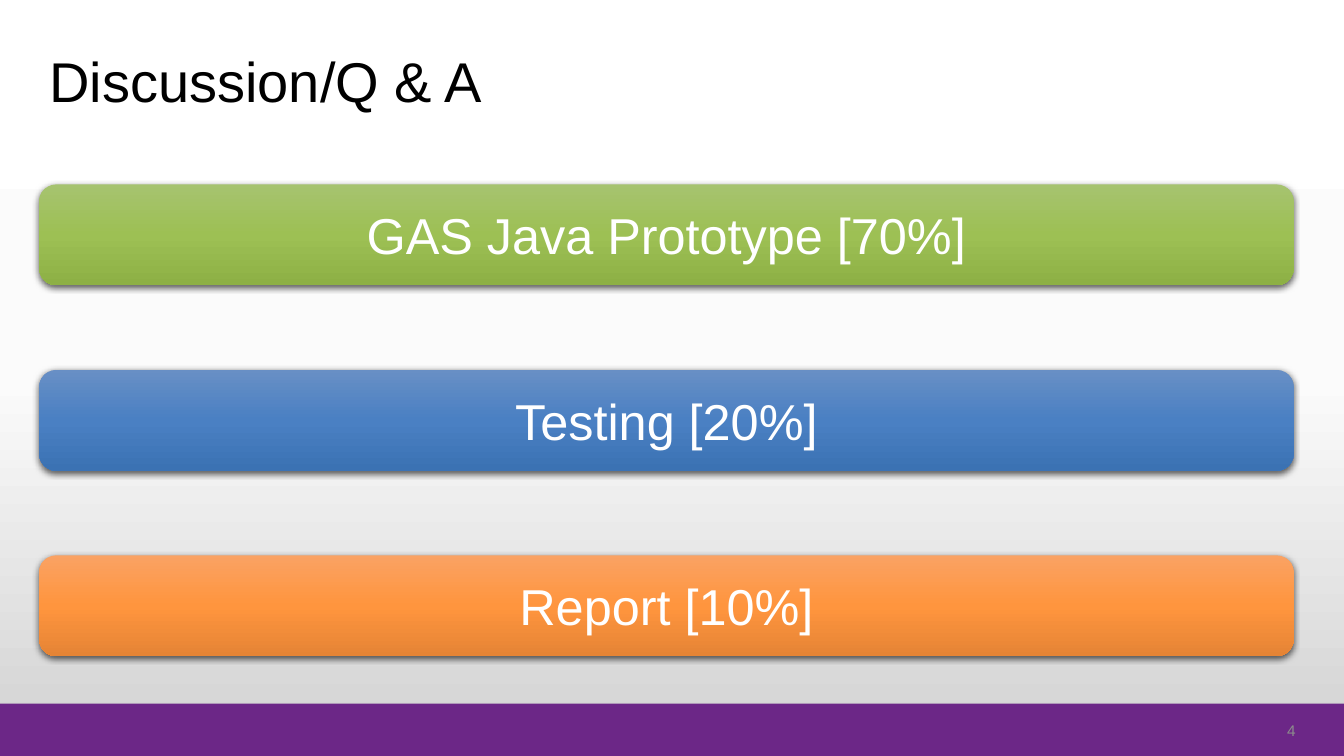
import pptx
import pptx.util
import pptx.dml.color
import pptx.enum.shapes
import pptx.enum.text
import pptx.oxml
import pptx.oxml.ns

Inches, Pt = pptx.util.Inches, pptx.util.Pt
ALIGN = pptx.enum.text.PP_ALIGN
SHAPE = pptx.enum.shapes.MSO_SHAPE

# Content
TITLE = "Discussion/Q & A"
PAGE = "4"
BACKGROUND = ("FFFFFF", "FBFBFB", "D1D1D1")
TOPICS = [
    ("GAS Java Prototype [70%]", ("A6C36F", "9DC054", "8DB045")),
    ("Testing [20%]", ("688FC5", "4A80C3", "3B72B3")),
    ("Report [10%]", ("FAA263", "FF953E", "E58435")),
]

# Layout
LEFT, BAR_TOP, BAR_W, BAR_H, BAR_STEP = 0.39, 1.83, 12.44, 1, 1.84


def rgb(code):
    return pptx.dml.color.RGBColor.from_string(code)


def set_gradient(fill, parent, colours):
    """Fill from top to bottom with evenly spaced colours."""
    fill.gradient()
    fill.gradient_angle = 270
    stops = next(parent.iter(pptx.oxml.ns.qn("a:gsLst")))
    for stop in list(stops):
        stops.remove(stop)
    for i, code in enumerate(colours):
        pos = i * 100000 // (len(colours) - 1)
        stops.append(pptx.oxml.parse_xml(
            f'<a:gs {pptx.oxml.ns.nsdecls("a")} pos="{pos}">'
            f'<a:srgbClr val="{code}"/></a:gs>'))


def add_shadow(sp):
    sp.shadow.inherit = False
    effects = sp.element.spPr.find(pptx.oxml.ns.qn("a:effectLst"))
    effects.append(pptx.oxml.parse_xml(
        f'<a:outerShdw {pptx.oxml.ns.nsdecls("a")} blurRad="{Pt(4.5)}" '
        f'dist="{Pt(1.5)}" dir="5400000" rotWithShape="0">'
        '<a:srgbClr val="000000"><a:alpha val="63000"/></a:srgbClr>'
        '</a:outerShdw>'))


def set_text(sp, text, size, colour, align):
    tf = sp.text_frame
    tf.word_wrap = True
    tf.auto_size = pptx.enum.text.MSO_AUTO_SIZE.NONE
    tf.vertical_anchor = pptx.enum.text.MSO_ANCHOR.MIDDLE
    p = tf.paragraphs[0]
    p.text = text
    p.alignment = align
    p.font.name = "Arial"
    p.font.size = Pt(size)
    p.font.color.rgb = rgb(colour)


prs = pptx.Presentation()
prs.slide_width, prs.slide_height = Inches(13.33), Inches(7.5)
slide = prs.slides.add_slide(prs.slide_layouts[5])
set_gradient(slide.background.fill, slide.element, BACKGROUND)

# Footer band
band = slide.shapes.add_shape(
    SHAPE.RECTANGLE, 0, Inches(6.98), prs.slide_width, Inches(0.52))
band.shadow.inherit = False
band.fill.solid()
band.fill.fore_color.rgb = rgb("6C2787")
band.line.fill.background()

# Title
title = slide.shapes.title
title.left, title.top = Inches(LEFT), Inches(0.36)
title.width, title.height = Inches(10.36), Inches(0.87)
set_text(title, TITLE, 40, "000000", ALIGN.LEFT)

# Page number
number = slide.shapes.add_textbox(
    Inches(12.4), Inches(7.13), Inches(0.55), Inches(0.24))
set_text(number, PAGE, 11, "8C8C8C", ALIGN.RIGHT)

# Topic bars
for i, (text, colours) in enumerate(TOPICS):
    bar = slide.shapes.add_shape(
        SHAPE.ROUNDED_RECTANGLE, Inches(LEFT), Inches(BAR_TOP + i * BAR_STEP),
        Inches(BAR_W), Inches(BAR_H))
    set_gradient(bar.fill, bar.element, colours)
    bar.line.fill.background()
    add_shadow(bar)
    set_text(bar, text, 36, "FFFFFF", ALIGN.CENTER)

prs.save("out.pptx")
